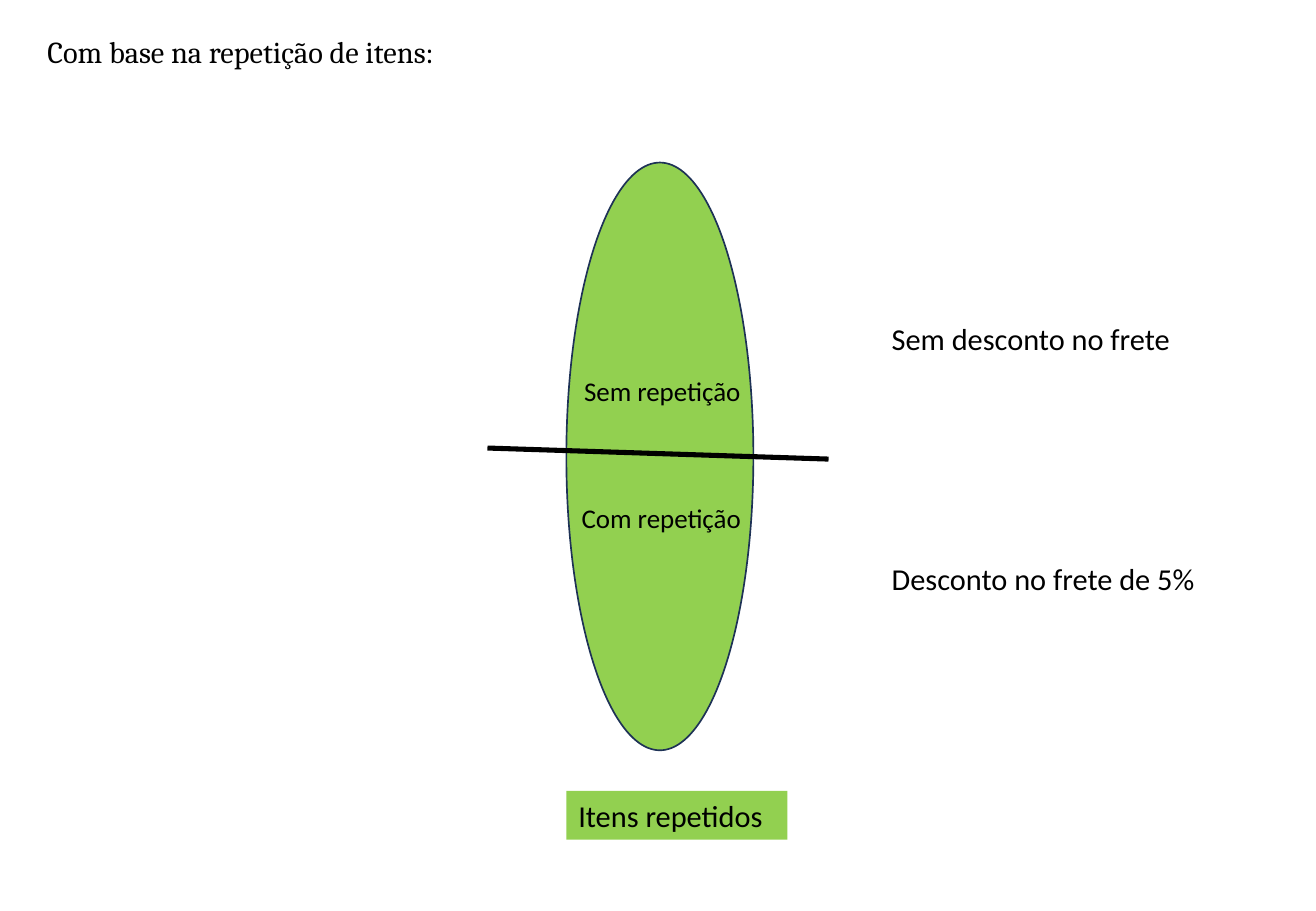
from lxml import etree
from pptx import Presentation
from pptx.dml.color import RGBColor
from pptx.enum.shapes import MSO_CONNECTOR, MSO_SHAPE
from pptx.enum.text import MSO_AUTO_SIZE, PP_ALIGN
from pptx.oxml.ns import qn
from pptx.util import Cm, Pt

STRAIGHT = MSO_CONNECTOR.STRAIGHT
OVAL = MSO_SHAPE.OVAL
FIT_SHAPE = MSO_AUTO_SIZE.SHAPE_TO_FIT_TEXT
LEFT = PP_ALIGN.LEFT

BLACK = "000000"
GREEN = "92D050"
NAVY = "1E3256"
SET_LEFT = 11.84
DISCOUNT_LEFT = 18.39


def color(value):
    return RGBColor.from_string(value)


def add_label(page, text, left, top, width, height=1.02, size=18,
              font="Calibri", wrap=True, fill=None):
    box = page.shapes.add_textbox(Cm(left), Cm(top), Cm(width), Cm(height))
    if fill:
        box.fill.solid()
        box.fill.fore_color.rgb = color(fill)
    frame = box.text_frame
    frame.text = text
    frame.word_wrap = wrap
    frame.auto_size = FIT_SHAPE
    para = frame.paragraphs[0]
    para.alignment = LEFT
    span = para.runs[0]
    span.font.name = font
    span.font.size = Pt(size)
    span.font.color.rgb = color(BLACK)


def add_ellipse(page, left, top, width, height):
    ellipse = page.shapes.add_shape(OVAL, Cm(left), Cm(top), Cm(width), Cm(height))
    ellipse.shadow.inherit = False
    ellipse.fill.solid()
    ellipse.fill.fore_color.rgb = color(GREEN)
    ellipse.line.color.rgb = color(NAVY)
    ellipse.line.width = Pt(1)


def add_divider(page, x1, y1, x2, y2):
    divider = page.shapes.add_connector(STRAIGHT, Cm(x1), Cm(y1), Cm(x2), Cm(y2))
    divider.line.color.rgb = color(BLACK)
    divider.line.width = Pt(3)
    etree.SubElement(divider._element.spPr, qn("a:effectLst"))


def main():
    deck = Presentation()
    deck.slide_width = Cm(27.51)
    deck.slide_height = Cm(19.05)
    page = deck.slides.add_slide(deck.slide_layouts[6])

    add_label(page, "Com base na repetição de itens:", 0.74, 0.56, 13.77, font="Cambria")
    add_label(page, "Sem desconto no frete", DISCOUNT_LEFT, 6.58, 6.4, wrap=False)
    add_label(page, "Desconto no frete de 5%", DISCOUNT_LEFT, 11.58, 6.93, wrap=False)

    add_ellipse(page, SET_LEFT, 3.4, 3.91, 12.29)
    add_label(page, "Itens repetidos", SET_LEFT, 16.54, 4.62, fill=GREEN)
    add_label(page, "Sem repetição", 11.96, 7.7, 3.91, 0.94, size=16)
    add_divider(page, 10.19, 9.37, 17.32, 9.6)
    add_label(page, "Com repetição", 11.91, 10.36, 3.91, 0.94, size=16)

    deck.save("out.pptx")


main()
